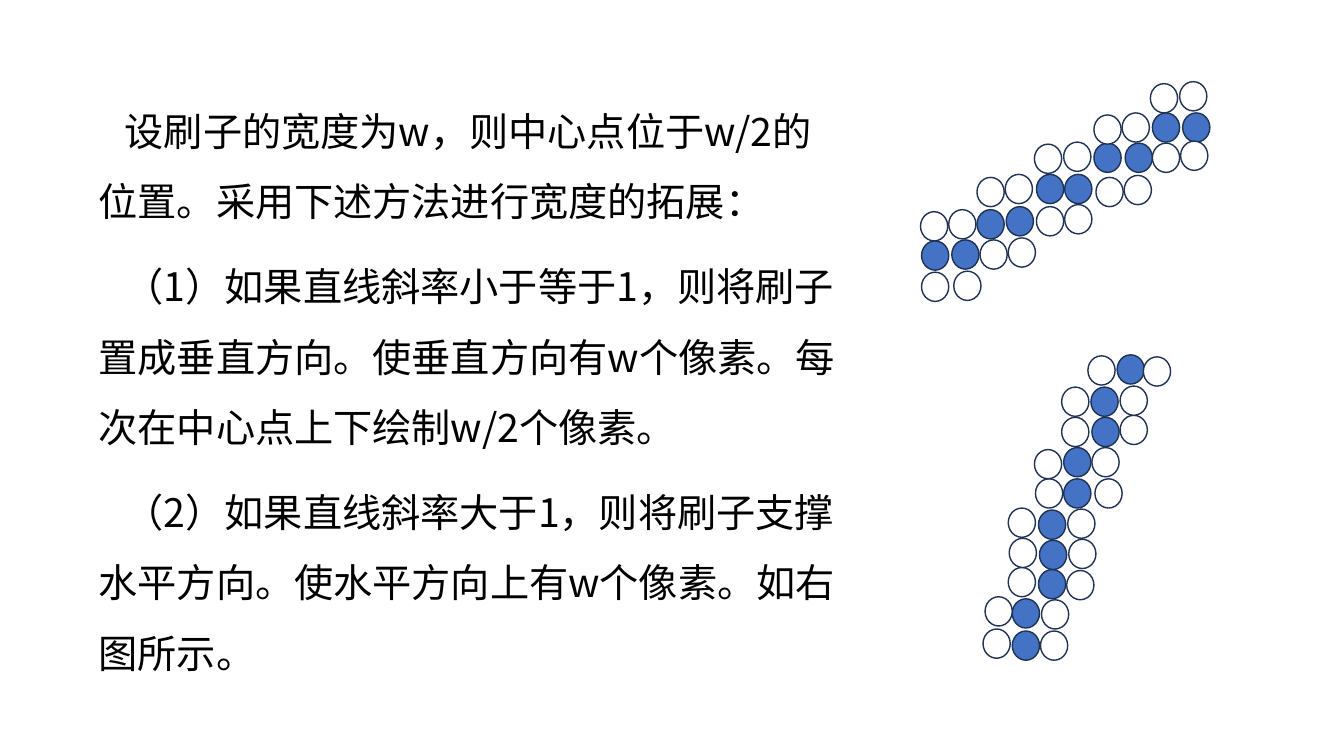
from pptx import Presentation
from pptx.dml.color import RGBColor
from pptx.enum.shapes import MSO_SHAPE
from pptx.enum.text import MSO_ANCHOR
from pptx.util import Inches, Pt

OVAL = MSO_SHAPE.OVAL
TOP = MSO_ANCHOR.TOP
BLACK = RGBColor(0x00, 0x00, 0x00)
WHITE = RGBColor(0xFF, 0xFF, 0xFF)
BLUE = RGBColor(0x44, 0x72, 0xC4)
NAVY = RGBColor(0x1E, 0x32, 0x56)

TEXTS = [
    "设刷子的宽度为w，则中心点位于w/2的位置。采用下述方法进行宽度的拓展：",
    "（1）如果直线斜率小于等于1，则将刷子置成垂直方向。使垂直方向有w个像素。每次在中心点上下绘制w/2个像素。",
    "（2）如果直线斜率大于1，则将刷子支撑水平方向。使水平方向上有w个像素。如右图所示。",
]

# Each brush step: side pixel, centre pixel, side pixel (left, top)
FLAT = [
    ((9.13, 2.10), (9.14, 2.39), (9.14, 2.70)),
    ((9.41, 2.08), (9.44, 2.38), (9.46, 2.69)),
    ((9.69, 1.76), (9.69, 2.08), (9.72, 2.38)),
    ((9.97, 1.73), (9.98, 2.05), (10.00, 2.36)),
    ((10.26, 1.43), (10.28, 1.73), (10.28, 2.05)),
    ((10.55, 1.41), (10.56, 1.73), (10.56, 2.03)),
    ((10.85, 1.14), (10.85, 1.42), (10.87, 1.76)),
    ((11.13, 1.12), (11.16, 1.42), (11.15, 1.74)),
    ((11.41, 0.83), (11.43, 1.12), (11.43, 1.42)),
    ((11.70, 0.81), (11.73, 1.12), (11.71, 1.40)),
]
STEEP = [
    ((9.75, 6.24), (10.04, 6.26), (10.32, 6.26)),
    ((9.77, 5.92), (10.04, 5.94), (10.33, 5.95)),
    ((10.00, 5.63), (10.30, 5.65), (10.58, 5.66)),
    ((10.01, 5.34), (10.31, 5.36), (10.60, 5.35)),
    ((10.00, 5.04), (10.30, 5.06), (10.59, 5.05)),
    ((10.27, 4.75), (10.55, 4.75), (10.86, 4.75)),
    ((10.26, 4.46), (10.55, 4.44), (10.83, 4.44)),
    ((10.53, 4.14), (10.83, 4.14), (11.11, 4.12)),
    ((10.53, 3.84), (10.82, 3.84), (11.11, 3.83)),
    ((10.79, 3.53), (11.08, 3.52), (11.34, 3.54)),
]


class Board:
    font = "Noto Sans CJK SC"
    size = Pt(28)
    wide, high = Inches(0.27), Inches(0.29)

    def __init__(self, slide):
        self.slide = slide

    def text(self, left, top, width, height, lines):
        box = self.slide.shapes.add_textbox(
            Inches(left), Inches(top), Inches(width), Inches(height))
        frame = box.text_frame
        frame.word_wrap = True
        frame.vertical_anchor = TOP
        for i, line in enumerate(lines):
            para = frame.paragraphs[0] if i == 0 else frame.add_paragraph()
            para.text = line
            para.line_spacing = 1.5
            para.space_before = Pt(10 if i else 0)
            para._p.get_or_add_pPr().set("indent", str(Inches(0.26)))
            para.font.name = self.font
            para.font.size = self.size
            para.font.color.rgb = BLACK

    def pixel(self, spot, fill):
        left, top = spot
        dot = self.slide.shapes.add_shape(
            OVAL, Inches(left), Inches(top), self.wide, self.high)
        dot.shadow.inherit = False
        dot.fill.solid()
        dot.fill.fore_color.rgb = fill
        dot.line.color.rgb = NAVY
        dot.line.width = Pt(1)

    def stroke(self, steps):
        for _, core, _ in steps:
            self.pixel(core, BLUE)
        for first, _, last in steps:
            self.pixel(first, WHITE)
            self.pixel(last, WHITE)


def main():
    deck = Presentation()
    deck.slide_width, deck.slide_height = Inches(13.33), Inches(7.5)
    board = Board(deck.slides.add_slide(deck.slide_layouts[6]))

    # Explanation on the left
    board.text(0.88, 0.78, 7.63, 5.94, TEXTS)

    # Brush strokes on the right: gentle slope, then steep slope
    board.stroke(FLAT)
    board.stroke(STEEP)

    deck.save("out.pptx")


if __name__ == "__main__":
    main()
